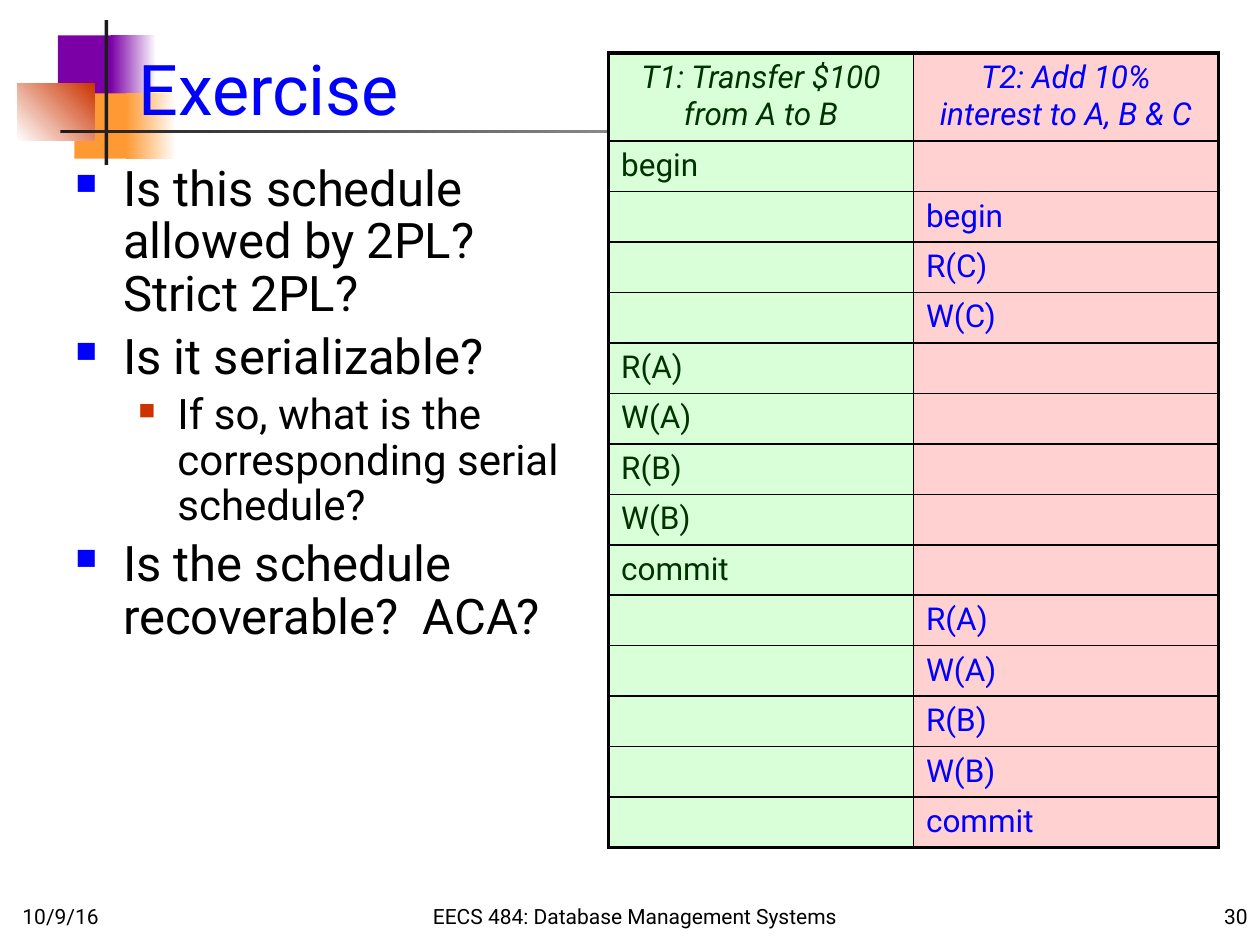
from lxml import etree
from pptx import Presentation, util as u
from pptx.dml.color import RGBColor
from pptx.enum import shapes, text
from pptx.oxml import ns

Inches, Pt = u.Inches, u.Pt
FONT = "Roboto"
BLACK = RGBColor(0x00, 0x00, 0x00)
WHITE = RGBColor(0xFF, 0xFF, 0xFF)
BLUE = RGBColor(0x00, 0x00, 0xFF)
PURPLE = RGBColor(0x7B, 0x00, 0xA6)
ORANGE = RGBColor(0xFF, 0x99, 0x33)
RED = RGBColor(0xCC, 0x33, 0x00)
CHARCOAL = RGBColor(0x1C, 0x1C, 0x1C)
DARK_GREEN = RGBColor(0x00, 0x33, 0x00)
PALE_GREEN = RGBColor(0xD9, 0xFF, 0xD9)
PALE_RED = RGBColor(0xFF, 0xD1, 0xD1)
LEFT, CENTER, RIGHT = text.PP_ALIGN.LEFT, text.PP_ALIGN.CENTER, text.PP_ALIGN.RIGHT

# Content
TITLE = "Exercise"
QUESTIONS = [  # level, wording
    (0, "Is this schedule allowed by 2PL?  Strict 2PL?"),
    (0, "Is it serializable?"),
    (1, "If so, what is the corresponding serial schedule?"),
    (0, "Is the schedule recoverable?  ACA?"),
]
LEVELS = [  # size, left margin, hanging indent, bullet colour, bullet percent
    (28, 0.38, 0.38, BLUE, 60),
    (24, 0.81, 0.31, RED, 55),
]
TRANSACTIONS = [  # heading, text colour, fill
    ("T1: Transfer $100 from A to B", DARK_GREEN, PALE_GREEN),
    ("T2: Add 10% interest to A, B & C", BLUE, PALE_RED),
]
SCHEDULE = [  # transaction column, its consecutive steps
    (0, ["begin"]),
    (1, ["begin", "R(C)", "W(C)"]),
    (0, ["R(A)", "W(A)", "R(B)", "W(B)", "commit"]),
    (1, ["R(A)", "W(A)", "R(B)", "W(B)", "commit"]),
]
FOOTERS = [  # left, width, alignment, wording
    (0.08, 2.08, LEFT, "10/9/16"),
    (2.33, 5.42, CENTER, "EECS 484: Database Management Systems"),
    (7.92, 2.08, RIGHT, "30"),
]
ORNAMENT = [  # left, top, width, height, colours, gradient angle
    (0.46, 0.28, 0.48, 0.52, [PURPLE], 0),
    (0.88, 0.28, 0.36, 0.52, [PURPLE, WHITE], 0),
    (0.59, 0.74, 0.46, 0.52, [ORANGE], 0),
    (1.00, 0.74, 0.40, 0.52, [ORANGE, WHITE], 0),
    (0.14, 0.66, 0.61, 0.46, [WHITE, RED], 45),
    (0.83, 0.16, 0.03, 1.15, [CHARCOAL], 0),
    (0.48, 1.03, 9.00, 0.03, [CHARCOAL, WHITE], 0),
]

deck = Presentation()
deck.slide_width, deck.slide_height = Inches(10), Inches(7.5)
slide = deck.slides.add_slide(deck.slide_layouts[6])


def style(paragraph, size, color, align=LEFT, italic=False):
    paragraph.alignment = align
    font = paragraph.font
    font.name, font.size, font.italic = FONT, Pt(size), italic
    font.color.rgb = color


def add_text_frame(left, top, width, height, anchor):
    frame = slide.shapes.add_textbox(*map(Inches, (left, top, width, height))).text_frame
    frame.word_wrap = True
    frame.vertical_anchor = anchor
    return frame


def add_bullet(paragraph, margin, hanging, color, percent):
    props = paragraph._p.get_or_add_pPr()
    props.set("marL", str(Inches(margin)))
    props.set("indent", str(-Inches(hanging)))
    bullet_color = etree.Element(ns.qn("a:buClr"))
    etree.SubElement(bullet_color, ns.qn("a:srgbClr"), val=str(color))
    bullet_size = etree.Element(ns.qn("a:buSzPct"), val=str(percent * 1000))
    bullet_char = etree.Element(ns.qn("a:buChar"), char="■")
    # Bullet settings stand before the default run properties
    default_font = props.find(ns.qn("a:defRPr"))
    for part in (bullet_color, bullet_size, bullet_char):
        default_font.addprevious(part)


def add_borders(cell, widths):
    props = cell._tc.get_or_add_tcPr()
    for position, (side, width) in enumerate(widths.items()):
        line = etree.Element(ns.qn("a:ln" + side), w=str(Pt(width)))
        fill = etree.SubElement(line, ns.qn("a:solidFill"))
        etree.SubElement(fill, ns.qn("a:srgbClr"), val=str(BLACK))
        props.insert(position, line)


# Corner ornament and title rule
for left, top, width, height, colors, angle in ORNAMENT:
    block = slide.shapes.add_shape(
        shapes.MSO_SHAPE.RECTANGLE, *map(Inches, (left, top, width, height)))
    block.shadow.inherit = False
    block.line.fill.background()
    if len(colors) == 1:
        block.fill.solid()
        block.fill.fore_color.rgb = colors[0]
    else:
        block.fill.gradient()
        block.fill.gradient_angle = angle
        for stop, color in zip(block.fill.gradient_stops, colors):
            stop.color.rgb = color

# Footer
for left, width, align, wording in FOOTERS:
    footer = add_text_frame(left, 6.92, width, 0.5, text.MSO_ANCHOR.BOTTOM).paragraphs[0]
    footer.text = wording
    style(footer, 12, BLACK, align)

# Title
title = add_text_frame(1, -0.17, 8.83, 1.25, text.MSO_ANCHOR.BOTTOM).paragraphs[0]
title.text = TITLE
style(title, 40, BLUE)

# Questions
questions = add_text_frame(0.5, 1.25, 4.25, 5.08, text.MSO_ANCHOR.TOP)
for number, (level, wording) in enumerate(QUESTIONS):
    question = questions.add_paragraph() if number else questions.paragraphs[0]
    size, *bullet = LEVELS[level]
    question.text = wording
    question.level = level
    question.line_spacing = 0.9
    question.space_before = Pt(size * 0.2)
    style(question, size, BLACK)
    add_bullet(question, *bullet)

# Schedule table
rows = [[heading for heading, _, _ in TRANSACTIONS]]
for column, steps in SCHEDULE:
    rows += [[step if c == column else "" for c in range(2)] for step in steps]
last_row, last_column = len(rows) - 1, len(TRANSACTIONS) - 1
schedule = slide.shapes.add_table(
    len(rows), len(TRANSACTIONS), Inches(4.83), Inches(0.42), Inches(4.84), Inches(6.3)).table
for column in schedule.columns:
    column.width = Inches(2.42)
for r, row in enumerate(rows):
    schedule.rows[r].height = Inches(0.4 if r else 0.7)
    for c, wording in enumerate(row):
        _, color, fill = TRANSACTIONS[c]
        cell = schedule.cell(r, c)
        cell.text = wording
        cell.fill.solid()
        cell.fill.fore_color.rgb = fill
        style(cell.text_frame.paragraphs[0], 18, color, LEFT if r else CENTER, r == 0)
        outer = {"L": c == 0, "R": c == last_column, "T": r == 0, "B": r == last_row}
        add_borders(cell, {side: 2.25 if edge else 1 for side, edge in outer.items()})

deck.save("out.pptx")
